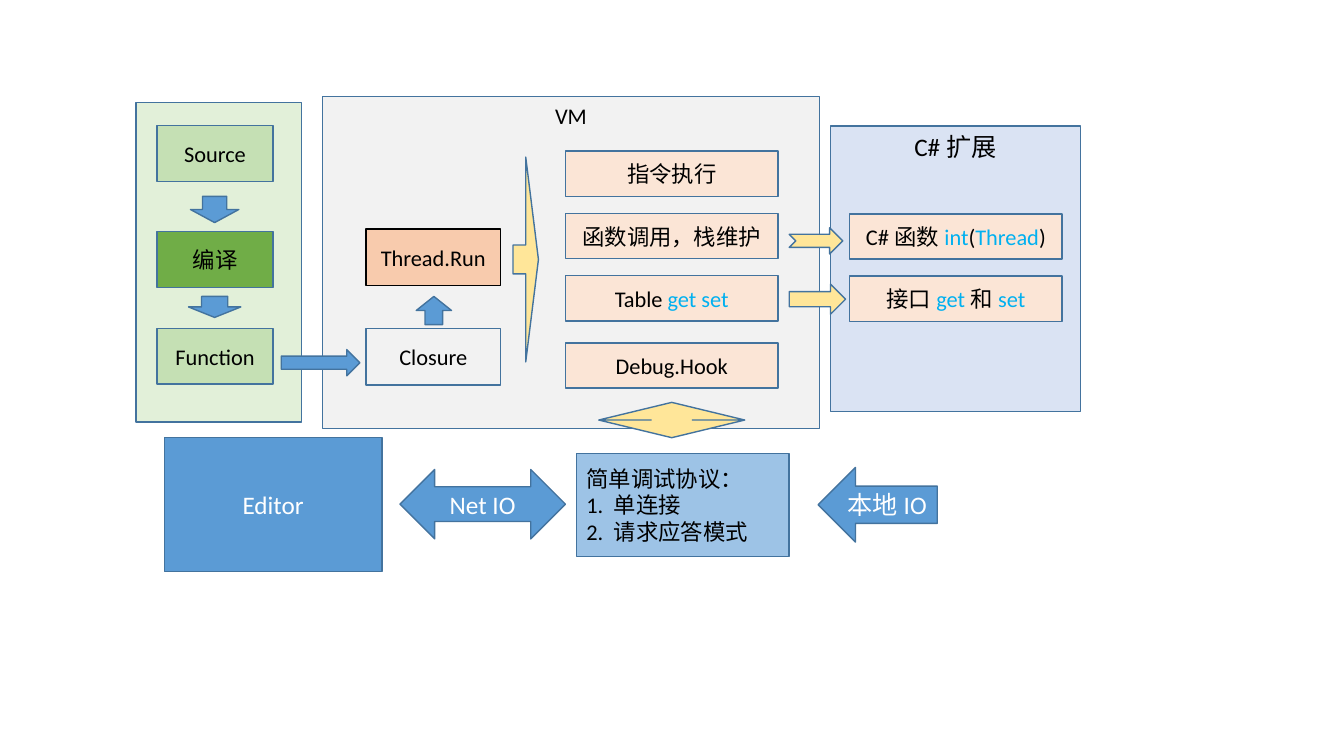
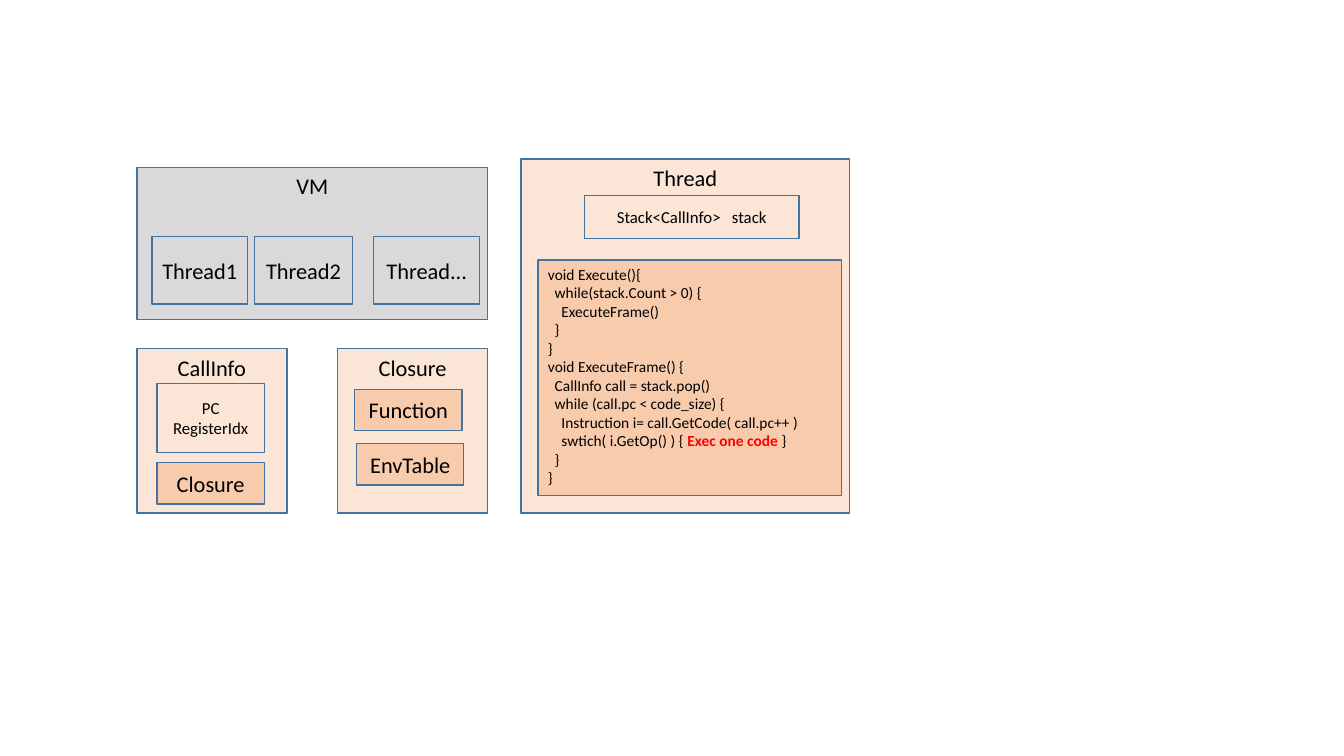
from collections import namedtuple

from pptx import Presentation
from pptx.dml.color import RGBColor
from pptx.enum.shapes import MSO_SHAPE
from pptx.enum.text import MSO_ANCHOR, PP_ALIGN
from pptx.util import Cm, Pt

FONT = "Calibri"
BLACK = RGBColor(0x00, 0x00, 0x00)
WHITE = RGBColor(0xFF, 0xFF, 0xFF)
RED = RGBColor(0xFF, 0x00, 0x00)
CYAN = RGBColor(0x00, 0xB0, 0xF0)
OUTLINE = RGBColor(0x43, 0x73, 0x9E)
BLUE = RGBColor(0x5B, 0x9B, 0xD5)
SKY = RGBColor(0x9D, 0xC3, 0xE6)
PALE_BLUE = RGBColor(0xDA, 0xE3, 0xF3)
GREEN = RGBColor(0x70, 0xAD, 0x47)
LIGHT_GREEN = RGBColor(0xC5, 0xE0, 0xB4)
PALE_GREEN = RGBColor(0xE2, 0xF0, 0xD9)
PEACH = RGBColor(0xFB, 0xE5, 0xD6)
ORANGE = RGBColor(0xF8, 0xCB, 0xAD)
YELLOW = RGBColor(0xFF, 0xE6, 0x99)
PALE_GRAY = RGBColor(0xF2, 0xF2, 0xF2)
GRAY = RGBColor(0xD9, 0xD9, 0xD9)

Box = namedtuple("Box", "left top width height")
Span = namedtuple("Span", "text color bold", defaults=(BLACK, False))

ROW_WIDTH, ROW_HEIGHT = 5.36, 1.14
ROW_PITCH = 1.57
CODE_INDENT = 0.17
CODE = [
    (0, "void Execute(){"),
    (1, "while(stack.Count > 0) {"),
    (2, "ExecuteFrame()"),
    (1, "}"),
    (0, "}"),
    (0, "void ExecuteFrame() {"),
    (1, "CallInfo call = stack.pop()"),
    (1, "while (call.pc < code_size) {"),
    (2, "Instruction i= call.GetCode( call.pc++ )"),
    (2, [Span("swtich( i.GetOp() ) { "), Span("Exec one code", RED, True), Span(" }")]),
    (1, "}"),
    (0, "}"),
]


def inside(outer, left, top, width, height):
    return Box(outer.left + left, outer.top + top, width, height)


def write(shape, lines, size, color, align, anchor):
    frame = shape.text_frame
    frame.word_wrap = True
    frame.vertical_anchor = anchor
    for number, line in enumerate(lines):
        paragraph = frame.paragraphs[0] if number == 0 else frame.add_paragraph()
        paragraph.alignment = align
        for span in [Span(line, color)] if isinstance(line, str) else line:
            run = paragraph.add_run()
            run.text = span.text
            run.font.name = FONT
            run.font.size = Pt(size)
            run.font.bold = span.bold
            run.font.color.rgb = span.color


def draw(shapes, box, fill, lines=(), kind=MSO_SHAPE.RECTANGLE, size=16, color=BLACK,
         line=OUTLINE, align=PP_ALIGN.CENTER, anchor=MSO_ANCHOR.MIDDLE, adjust=()):
    shape = shapes.add_shape(kind, *map(Cm, box))
    shape.shadow.inherit = False
    shape.fill.solid()
    shape.fill.fore_color.rgb = fill
    shape.line.color.rgb = line
    shape.line.width = Pt(1)
    for index, value in enumerate(adjust):
        shape.adjustments[index] = value
    write(shape, lines, size, color, align, anchor)
    return shape


def panel(shapes, box, fill, title, size=16):
    draw(shapes, box, fill, [title], size=size, anchor=MSO_ANCHOR.TOP)


def compile_panel(shapes, box):
    draw(shapes, box, PALE_GREEN)
    steps = [(0.58, "Source", LIGHT_GREEN), (3.25, "编译", GREEN), (5.69, "Function", LIGHT_GREEN)]
    for top, label, fill in steps:
        draw(shapes, inside(box, 0.53, top, 2.92, 1.4), fill, [label])
    for arrow in [(1.37, 2.36, 1.22, 0.66), (1.32, 4.88, 1.32, 0.53)]:
        draw(shapes, inside(box, *arrow), BLUE, kind=MSO_SHAPE.DOWN_ARROW)


def vm_panel(shapes, box):
    panel(shapes, box, PALE_GRAY, "VM")
    draw(shapes, inside(box, 1.09, 3.33, 3.4, 1.42), ORANGE, ["Thread.Run"], line=BLACK)
    draw(shapes, inside(box, 1.09, 5.84, 3.4, 1.42), PALE_GRAY, ["Closure"])
    draw(shapes, inside(box, 2.36, 5.03, 0.89, 0.71), BLUE, kind=MSO_SHAPE.UP_ARROW)
    draw(shapes, inside(box, 4.8, 1.52, 0.64, 5.16), YELLOW,
         kind=MSO_SHAPE.RIGHT_ARROW, adjust=(0.141, 0.5))
    rows = ["指令执行", "函数调用，栈维护", [Span("Table "), Span("get set", CYAN)]]
    for index, row in enumerate(rows):
        draw(shapes, inside(box, 6.12, 1.37 + index * ROW_PITCH, ROW_WIDTH, ROW_HEIGHT),
             PEACH, [row])
    draw(shapes, inside(box, 6.12, 6.2, ROW_WIDTH, ROW_HEIGHT), PEACH, ["Debug.Hook"])


def extension_panel(shapes, box):
    panel(shapes, box, PALE_BLUE, "C#扩展", 18)
    rows = [
        [Span("C#函数"), Span("int", CYAN), Span("("), Span("Thread", CYAN), Span(")")],
        [Span("接口"), Span("get", CYAN), Span("和"), Span("set", CYAN)],
    ]
    for index, row in enumerate(rows):
        draw(shapes, inside(box, 0.48, 2.21 + index * ROW_PITCH, ROW_WIDTH, ROW_HEIGHT),
             PEACH, [row])


def vm_links(shapes, vm):
    draw(shapes, inside(vm, -1.04, 6.37, 1.98, 0.66), BLUE, kind=MSO_SHAPE.RIGHT_ARROW)
    draw(shapes, inside(vm, 11.76, 3.3, 1.35, 0.66), YELLOW, kind=MSO_SHAPE.NOTCHED_RIGHT_ARROW)
    draw(shapes, inside(vm, 11.76, 4.72, 1.42, 0.76), YELLOW, kind=MSO_SHAPE.RIGHT_ARROW)
    draw(shapes, inside(vm, 6.96, 7.7, 3.68, 0.89), YELLOW,
         kind=MSO_SHAPE.UP_DOWN_ARROW, adjust=(0.141, 0.282))


def debug_row(shapes, box):
    parts = [
        ((0, 0, 5.49, box.height), "Editor", MSO_SHAPE.RECTANGLE),
        ((5.94, 0.81, 4.17, 1.75), "Net IO", MSO_SHAPE.LEFT_RIGHT_ARROW),
        ((16.48, 0.76, 3, 1.88), "本地IO", MSO_SHAPE.LEFT_ARROW),
    ]
    for place, label, kind in parts:
        draw(shapes, inside(box, *place), BLUE, [label], kind, 18, WHITE)
    draw(shapes, inside(box, 10.39, 0.41, ROW_WIDTH, 2.59), SKY,
         ["简单调试协议：", "1. 单连接", "2. 请求应答模式"], align=PP_ALIGN.LEFT)


def thread_list(shapes, box):
    panel(shapes, box, GRAY, "VM")
    threads = [(0.38, 2.41, "Thread1"), (2.97, 2.46, "Thread2"), (5.97, 2.67, "Thread...")]
    for left, width, label in threads:
        draw(shapes, inside(box, left, 1.74, width, 1.7), GRAY, [label])


def call_info(shapes, box):
    panel(shapes, box, PEACH, "CallInfo")
    draw(shapes, inside(box, 0.51, 0.87, 2.7, 1.75), PEACH, ["PC", "RegisterIdx"], size=12)
    draw(shapes, inside(box, 0.51, 2.87, 2.7, 1.04), ORANGE, ["Closure"])


def closure(shapes, box):
    panel(shapes, box, PEACH, "Closure")
    for left, top, label in [(0.43, 1.02, "Function"), (0.48, 2.39, "EnvTable")]:
        draw(shapes, inside(box, left, top, 2.7, 1.04), ORANGE, [label])


def thread_detail(shapes, box):
    panel(shapes, box, PEACH, "Thread")
    draw(shapes, inside(box, 1.6, 0.91, 5.41, 1.09), PEACH, ["Stack<CallInfo>   stack"], size=12)
    listing = draw(shapes, inside(box, 0.43, 2.54, 7.65, 5.94), ORANGE,
                   [text for _, text in CODE], size=11,
                   align=PP_ALIGN.LEFT, anchor=MSO_ANCHOR.TOP)
    for paragraph, (level, _) in zip(listing.text_frame.paragraphs, CODE):
        paragraph._p.get_or_add_pPr().set("marL", str(Cm(level * CODE_INDENT)))


def architecture_slide(slide):
    vm = Box(8.13, 2.44, 12.52, 8.36)
    compile_panel(slide.shapes, Box(3.43, 2.59, 4.17, 8.05))
    extension_panel(slide.shapes, Box(20.93, 3.18, 6.3, 7.19))
    vm_panel(slide.shapes, vm)
    debug_row(slide.shapes, Box(4.14, 11.02, 19.48, 3.38))
    vm_links(slide.shapes, vm)


def runtime_slide(slide):
    regions = [
        (thread_list, Box(3.45, 4.22, 8.84, 3.84)),
        (closure, Box(8.51, 8.79, 3.78, 4.14)),
        (call_info, Box(3.45, 8.79, 3.78, 4.14)),
        (thread_detail, Box(13.13, 4.01, 8.28, 8.92)),
    ]
    for region, box in regions:
        region(slide.shapes.add_group_shape().shapes, box)


deck = Presentation()
deck.slide_width, deck.slide_height = Cm(33.87), Cm(19.05)
for build in (architecture_slide, runtime_slide):
    build(deck.slides.add_slide(deck.slide_layouts[6]))
deck.save("out.pptx")
